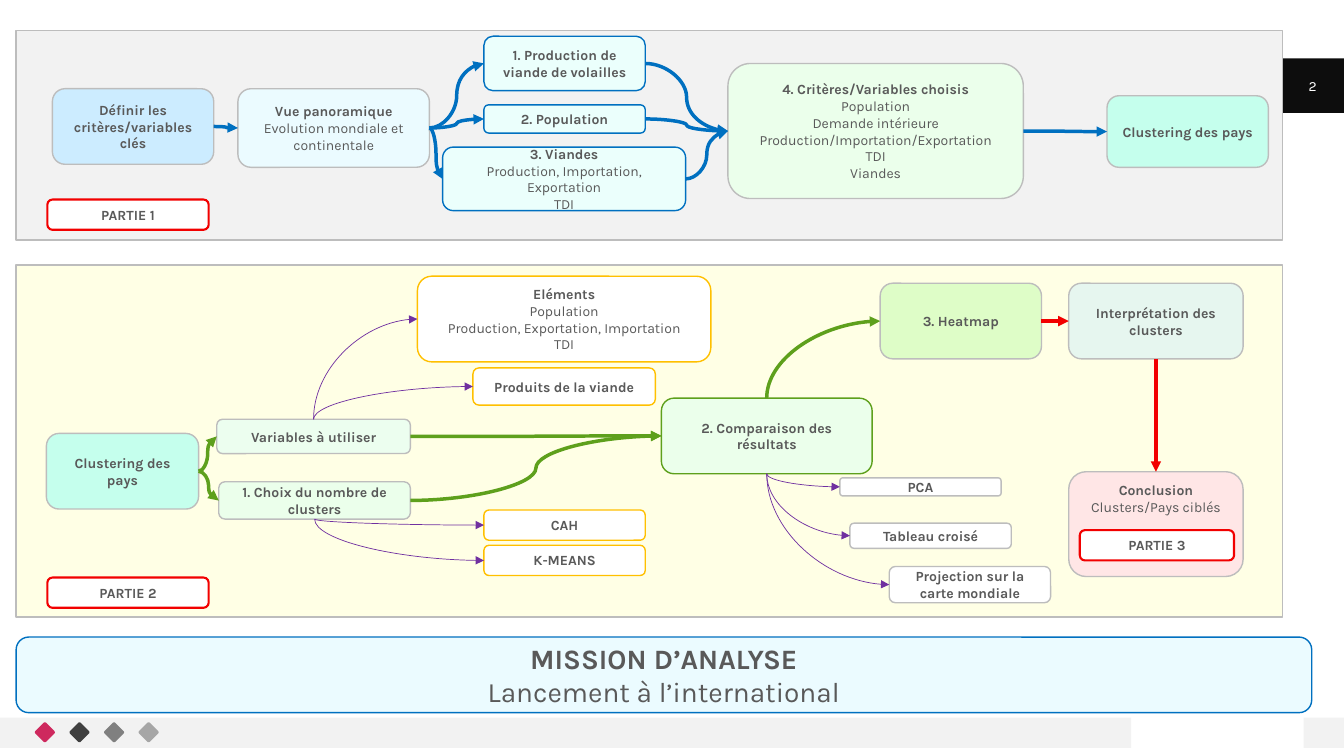
from lxml import etree
from pptx import Presentation
from pptx.dml.color import RGBColor
from pptx.enum.shapes import MSO_CONNECTOR, MSO_SHAPE
from pptx.enum.text import MSO_ANCHOR, PP_ALIGN
from pptx.oxml.ns import qn
from pptx.util import Inches, Pt

RECTANGLE, ROUNDED = MSO_SHAPE.RECTANGLE, MSO_SHAPE.ROUNDED_RECTANGLE
CURVE = MSO_CONNECTOR.CURVE
TOP, MIDDLE = MSO_ANCHOR.TOP, MSO_ANCHOR.MIDDLE
CENTER = PP_ALIGN.CENTER
UP_SITE, LEFT_SITE, DOWN_SITE, RIGHT_SITE = range(4)

WHITE = RGBColor(0xFF, 0xFF, 0xFF)
BLACK = RGBColor(0x0D, 0x0D, 0x0D)
TEXT_GREY = RGBColor(0x59, 0x59, 0x59)
LINE_GREY = RGBColor(0xBD, 0xBD, 0xBD)
PALE_GREY = RGBColor(0xF2, 0xF2, 0xF2)
PALE_YELLOW = RGBColor(0xFF, 0xFF, 0xE5)
BLUE = RGBColor(0x00, 0x70, 0xC0)
SKY = RGBColor(0xCC, 0xEC, 0xFF)
ICE = RGBColor(0xEB, 0xFB, 0xFF)
AQUA = RGBColor(0xEB, 0xFF, 0xFC)
MINT = RGBColor(0xC5, 0xFF, 0xED)
SAGE = RGBColor(0xE6, 0xF6, 0xEF)
PALE_GREEN = RGBColor(0xEB, 0xFF, 0xEB)
MIST_GREEN = RGBColor(0xEC, 0xFE, 0xEF)
LIME = RGBColor(0xDE, 0xFD, 0xC7)
GREEN = RGBColor(0x5E, 0xA0, 0x1C)
AMBER = RGBColor(0xFF, 0xC0, 0x00)
RED = RGBColor(0xF2, 0x00, 0x00)
PINK = RGBColor(0xFF, 0xE6, 0xE6)
PURPLE = RGBColor(0x70, 0x30, 0xA0)
DIAMOND_COLOURS = [RGBColor(0xCE, 0x29, 0x5E), RGBColor(0x40, 0x40, 0x40),
                   RGBColor(0x80, 0x80, 0x80), RGBColor(0xA6, 0xA6, 0xA6)]

GRID = Inches(0.1)  # every place below is in columns and rows of this grid

FOOTER_BARS = [(0, 71.2, 112.2, 3), (129.3, 71.2, 4, 3)]
PANELS = [((1.6, 3, 125.6, 20.8), PALE_GREY), ((1.6, 26.3, 125.6, 34.9), PALE_YELLOW)]
FIRST_DIAMOND, DIAMOND_STEP = (3.7, 71.9, 1.5, 1.5), 3.43

# name: (left, top, width, height), fill, line, text with a bold first paragraph
BOXES = {
    "criteria": ((5.2, 8.8, 16, 7.5), SKY, LINE_GREY,
                 ["Définir les critères/variables clés"]),
    "panorama": ((23.6, 8.8, 19, 7.8), ICE, LINE_GREY,
                 ["Vue panoramique", "Evolution mondiale et continentale"]),
    "poultry": ((48, 3.6, 16, 5.4), AQUA, BLUE, ["1. Production de viande de volailles"]),
    "population": ((48, 10.4, 16, 2.8), AQUA, BLUE, ["2. Population"]),
    "meats": ((43.9, 14.6, 24.1, 6.3), AQUA, BLUE,
              ["3. Viandes", "Production, Importation, Exportation", "TDI"]),
    "chosen": ((72.2, 6.3, 29.3, 13.4), PALE_GREEN, LINE_GREY,
               ["4. Critères/Variables choisis", "Population", "Demande intérieure",
                "Production/Importation/Exportation", "TDI", "Viandes"]),
    "clustering": ((109.8, 9.5, 16, 7.1), MINT, LINE_GREY, ["Clustering des pays"]),
    "variables": ((21.5, 41.6, 19.2, 3.4), MIST_GREEN, LINE_GREY, ["Variables à utiliser"]),
    "countries": ((4.6, 43, 15.1, 7.5), MINT, LINE_GREY, ["Clustering des pays"]),
    "cluster count": ((21.7, 47.8, 19, 3.7), PALE_GREEN, LINE_GREY,
                      ["1. Choix du nombre de clusters"]),
    "elements": ((41.4, 27.4, 29.1, 8.5), WHITE, AMBER,
                 ["Eléments", "Population", "Production, Exportation, Importation", "TDI"]),
    "meat products": ((46.9, 36.5, 18.1, 3.7), WHITE, AMBER, ["Produits de la viande"]),
    "cah": ((48, 50.6, 16, 3), WHITE, AMBER, ["CAH"]),
    "k-means": ((48, 54.1, 16, 3), WHITE, AMBER, ["K-MEANS"]),
    "comparison": ((65.6, 39.5, 20.9, 7.5), PALE_GREEN, GREEN,
                   ["2. Comparaison des résultats"]),
    "pca": ((83.3, 47.4, 16, 1.8), WHITE, LINE_GREY, ["PCA"]),
    "cross table": ((84.3, 51.9, 16, 2.5), WHITE, LINE_GREY, ["Tableau croisé"]),
    "map": ((88.2, 56.2, 16, 3.6), WHITE, LINE_GREY, ["Projection sur la carte mondiale"]),
    "heatmap": ((87.3, 28.1, 16, 7.5), LIME, LINE_GREY, ["3. Heatmap"]),
    "interpretation": ((106, 28.1, 17.3, 7.5), SAGE, LINE_GREY,
                       ["Interprétation des clusters"]),
    "conclusion": ((106, 46.8, 17.3, 10.4), PINK, LINE_GREY,
                   ["Conclusion", "Clusters/Pays ciblés"]),
}
PART_LABELS = [("PARTIE 1", (4.7, 19.8, 16, 3)), ("PARTIE 2", (4.7, 57.3, 16, 3)),
               ("PARTIE 3", (107.1, 52.6, 15.3, 3))]
MISSION = ((1.6, 63.2, 128.5, 7.5), ICE, BLUE,
           ["MISSION D’ANALYSE", "Lancement à l’international"])

# colour, width, side the arrow leaves from, (start box, end boxes)
ARROWS = [
    (BLUE, 2.5, RIGHT_SITE, [("criteria", ["panorama"]),
                             ("panorama", ["poultry", "population", "meats"]),
                             ("poultry", ["chosen"]), ("population", ["chosen"]),
                             ("meats", ["chosen"]), ("chosen", ["clustering"])]),
    (GREEN, 2.5, RIGHT_SITE, [("countries", ["variables", "cluster count"]),
                              ("variables", ["comparison"]),
                              ("cluster count", ["comparison"])]),
    (PURPLE, 0.5, DOWN_SITE, [("cluster count", ["cah", "k-means"]),
                              ("comparison", ["pca", "cross table", "map"])]),
    (PURPLE, 0.5, UP_SITE, [("variables", ["elements", "meat products"])]),
    (GREEN, 2.5, UP_SITE, [("comparison", ["heatmap"])]),
    (RED, 2.5, RIGHT_SITE, [("heatmap", ["interpretation"])]),
    (RED, 2.5, DOWN_SITE, [("interpretation", ["conclusion"])]),
]


def add_box(slide, kind, place, fill, line=None, line_width=1):
    shape = slide.shapes.add_shape(kind, *(round(cells * GRID) for cells in place))
    shape.shadow.inherit = False
    shape.fill.solid()
    shape.fill.fore_color.rgb = fill
    if line is None:
        shape.line.fill.background()
    else:
        shape.line.color.rgb = line
        shape.line.width = Pt(line_width)
    return shape


def write(shape, lines, size=10, colour=TEXT_GREY, anchor=MIDDLE, bold=True):
    frame = shape.text_frame
    frame.word_wrap = True
    frame.vertical_anchor = anchor
    for index, text in enumerate(lines):
        paragraph = frame.paragraphs[0] if index == 0 else frame.add_paragraph()
        paragraph.alignment = CENTER
        run = paragraph.add_run()
        run.text = text
        font_format = {"name": "Karla", "size": Pt(size), "bold": bold and index == 0}
        for attribute, value in font_format.items():
            setattr(run.font, attribute, value)
        run.font.color.rgb = colour


def turn_connector(connector, bends):
    """Make the curve leave its start vertically: rotate its frame about its centre."""
    x1, y1, x2, y2 = connector.begin_x, connector.begin_y, connector.end_x, connector.end_y
    width, height = abs(y2 - y1), abs(x2 - x1)
    connector.left, connector.top = (x1 + x2 - width) // 2, (y1 + y2 - height) // 2
    connector.width, connector.height = width, height
    properties = connector._element.spPr
    frame = properties.find(qn("a:xfrm"))
    for flip in ("flipH", "flipV"):
        frame.attrib.pop(flip, None)
    if bends:
        rising = y2 < y1
        frame.set("rot", str((90 if rising else 270) * 60000))
        frame.set("flipH", "1")
        if rising:
            frame.set("flipV", "1")
        properties.find(qn("a:prstGeom")).set("prst", "curvedConnector2")
    else:
        frame.set("rot", str(90 * 60000))


def add_arrow(slide, start, end, side, colour, width):
    connector = slide.shapes.add_connector(CURVE, 0, 0, 0, 0)
    below = side == DOWN_SITE and start.left == end.left
    connector.begin_connect(start, side)
    connector.end_connect(end, UP_SITE if below else LEFT_SITE)
    if side != RIGHT_SITE:
        turn_connector(connector, bends=not below)
    connector.line.color.rgb = colour
    connector.line.width = Pt(width)
    etree.SubElement(connector.line._get_or_add_ln(), qn("a:tailEnd"), type="triangle")
    etree.SubElement(connector._element.spPr, qn("a:effectLst"))


def main():
    presentation = Presentation()
    presentation.slide_width, presentation.slide_height = Inches(13.33), Inches(7.5)
    slide = presentation.slides.add_slide(presentation.slide_layouts[6])

    for place in FOOTER_BARS:
        add_box(slide, RECTANGLE, place, PALE_GREY)
    number = add_box(slide, RECTANGLE, (127.1, 5.8, 6.2, 5.4), BLACK)
    write(number, ["2"], colour=WHITE, bold=False)
    left, *rest = FIRST_DIAMOND
    for index, colour in enumerate(DIAMOND_COLOURS):
        diamond = add_box(slide, ROUNDED, (left + index * DIAMOND_STEP, *rest), colour)
        diamond.adjustments[0] = 0.11
        diamond.rotation = 45

    place, fill, line, lines = MISSION
    write(add_box(slide, ROUNDED, place, fill, line), lines, size=20)
    for place, fill in PANELS:
        add_box(slide, RECTANGLE, place, fill, LINE_GREY)

    shapes = {}
    for name, (place, fill, line, lines) in BOXES.items():
        shapes[name] = add_box(slide, ROUNDED, place, fill, line)
        write(shapes[name], lines, anchor=TOP if name == "conclusion" else MIDDLE)
    for colour, width, side, links in ARROWS:
        for start, ends in links:
            for end in ends:
                add_arrow(slide, shapes[start], shapes[end], side, colour, width)
    for label, place in PART_LABELS:
        write(add_box(slide, ROUNDED, place, WHITE, RED, 1.5), [label])

    presentation.save("out.pptx")


if __name__ == "__main__":
    main()
